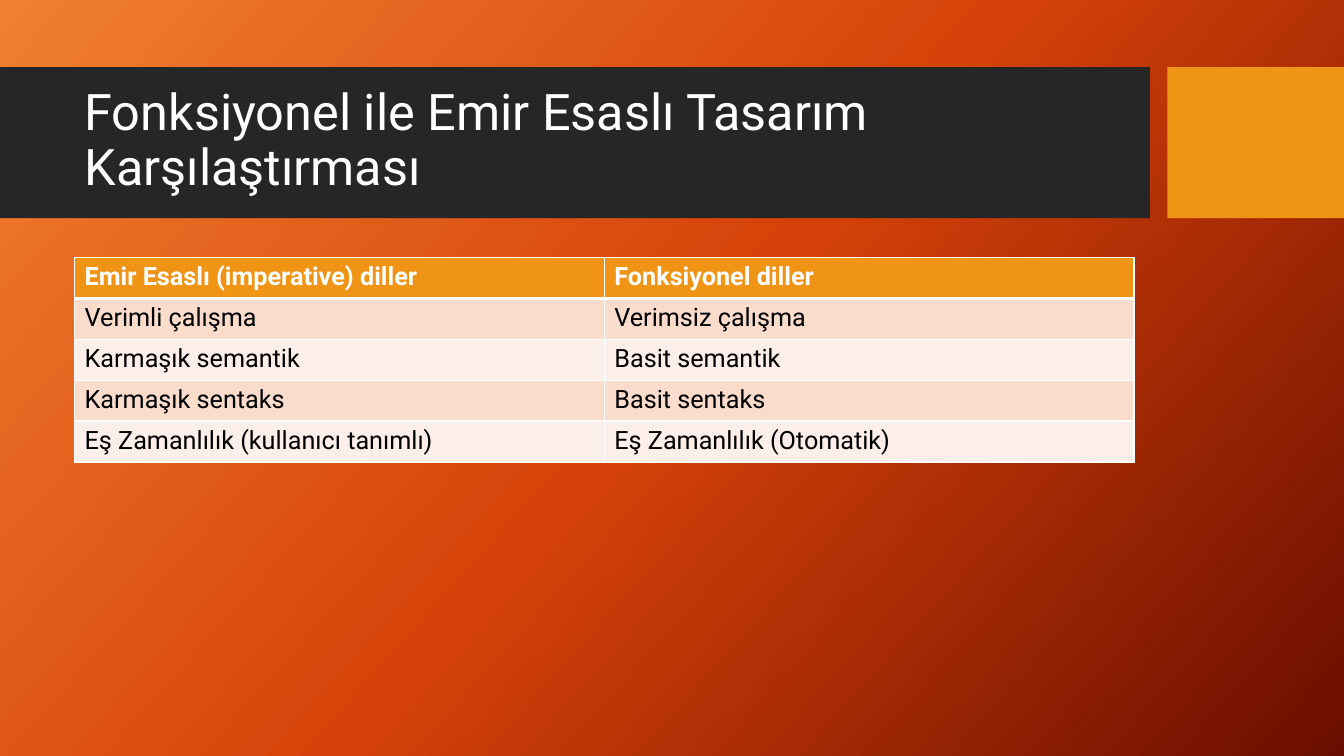
import copy

import pptx
import pptx.dml.color
import pptx.enum.shapes
import pptx.enum.text
import pptx.oxml
import pptx.oxml.ns
import pptx.util

Cm = pptx.util.Cm
FONT = "Roboto"
WHITE, BLACK, CHARCOAL, AMBER = "FFFFFF", "000000", "262626", "F09415"
ROW_TINTS = ("F9DCCC", "FCEEE8")
BACKDROP = ((0, "F18031"), (0.5, "D54209"), (1, "6A0D00"))
HEADING = "Fonksiyonel ile Emir Esaslı Tasarım Karşılaştırması"
COMPARISON = (
    ("Emir Esaslı (imperative) diller", "Fonksiyonel diller"),
    ("Verimli çalışma", "Verimsiz çalışma"),
    ("Karmaşık semantik", "Basit semantik"),
    ("Karmaşık sentaks", "Basit sentaks"),
    ("Eş Zamanlılık (kullanıcı tanımlı)", "Eş Zamanlılık (Otomatik)"),
)


def rgb(hex_code):
    """Return the colour for a hex string."""
    return pptx.dml.color.RGBColor.from_string(hex_code)


def add_run(paragraph, wording, size, color, bold=False):
    """Append one formatted run to a paragraph."""
    run = paragraph.add_run()
    run.text = wording
    run.font.name = FONT
    run.font.size = pptx.util.Pt(size)
    run.font.bold = bold
    run.font.color.rgb = rgb(color)


def paint_backdrop(slide):
    """Fill the slide background with the diagonal three-stop gradient."""
    fill = slide.background.fill
    fill.gradient()
    fill.gradient_angle = 360 - 42
    stops = slide.element.find(".//" + pptx.oxml.ns.qn("a:gsLst"))
    stops.append(copy.deepcopy(stops[-1]))
    for stop, (position, color) in zip(fill.gradient_stops, BACKDROP):
        stop.position = position
        stop.color.rgb = rgb(color)


def add_band(slide, left, top, width, height, color):
    """Draw a plain filled rectangle."""
    band = slide.shapes.add_shape(
        pptx.enum.shapes.MSO_SHAPE.RECTANGLE, left, top, width, height)
    band.shadow.inherit = False
    band.fill.solid()
    band.fill.fore_color.rgb = rgb(color)
    band.line.fill.background()


def build_header(slide, left, top, width, height):
    """Place the dark band, the amber block and the title in the header box."""
    band_width, block_width = Cm(28.98), Cm(4.45)
    add_band(slide, left, top, band_width, height, CHARCOAL)
    add_band(slide, left + width - block_width, top, block_width, height, AMBER)

    heading = slide.shapes.title
    slide.shapes.element.append(heading.element)
    heading.left, heading.top = left + Cm(1.88), top + Cm(0.38)
    heading.width, heading.height = Cm(26.7), Cm(3)
    frame = heading.text_frame
    frame.word_wrap = True
    frame.auto_size = pptx.enum.text.MSO_AUTO_SIZE.NONE
    frame.vertical_anchor = pptx.enum.text.MSO_ANCHOR.MIDDLE
    paragraph = frame.paragraphs[0]
    paragraph.alignment = pptx.enum.text.PP_ALIGN.LEFT
    paragraph.line_spacing = 0.9
    add_run(paragraph, HEADING, 36, WHITE)


def set_borders(cell, top_width, bottom_width):
    """Give a cell white borders, with its own top and bottom widths in points."""
    properties = cell._tc.get_or_add_tcPr()
    widths = {"lnL": 1, "lnR": 1, "lnT": top_width, "lnB": bottom_width}
    for index, (side, width) in enumerate(widths.items()):
        properties.insert(index, pptx.oxml.parse_xml(
            f'<a:{side} {pptx.oxml.ns.nsdecls("a")} w="{pptx.util.Pt(width)}">'
            f'<a:solidFill><a:srgbClr val="{WHITE}"/></a:solidFill></a:{side}>'))


def build_comparison(slide, left, top, width, height):
    """Fill the box with the two-column comparison table."""
    table = slide.shapes.add_table(
        len(COMPARISON), len(COMPARISON[0]), left, top, width, height).table
    table.horz_banding = False
    for row_index, entries in enumerate(COMPARISON):
        is_head = row_index == 0
        tint = AMBER if is_head else ROW_TINTS[(row_index - 1) % 2]
        for column_index, entry in enumerate(entries):
            cell = table.cell(row_index, column_index)
            cell.fill.solid()
            cell.fill.fore_color.rgb = rgb(tint)
            set_borders(cell, 3 if row_index == 1 else 1, 3 if is_head else 1)
            add_run(cell.text_frame.paragraphs[0], entry, 18,
                    WHITE if is_head else BLACK, is_head)


def main():
    """Build the slide and save it."""
    deck = pptx.Presentation()
    deck.slide_width, deck.slide_height = Cm(33.87), Cm(19.05)
    slide = deck.slides.add_slide(deck.slide_layouts.get_by_name("Title Only"))
    paint_backdrop(slide)
    build_header(slide, 0, Cm(1.69), deck.slide_width, Cm(3.81))
    build_comparison(slide, Cm(1.88), Cm(6.49), Cm(26.7), Cm(5.15))
    deck.save("out.pptx")


if __name__ == "__main__":
    main()
